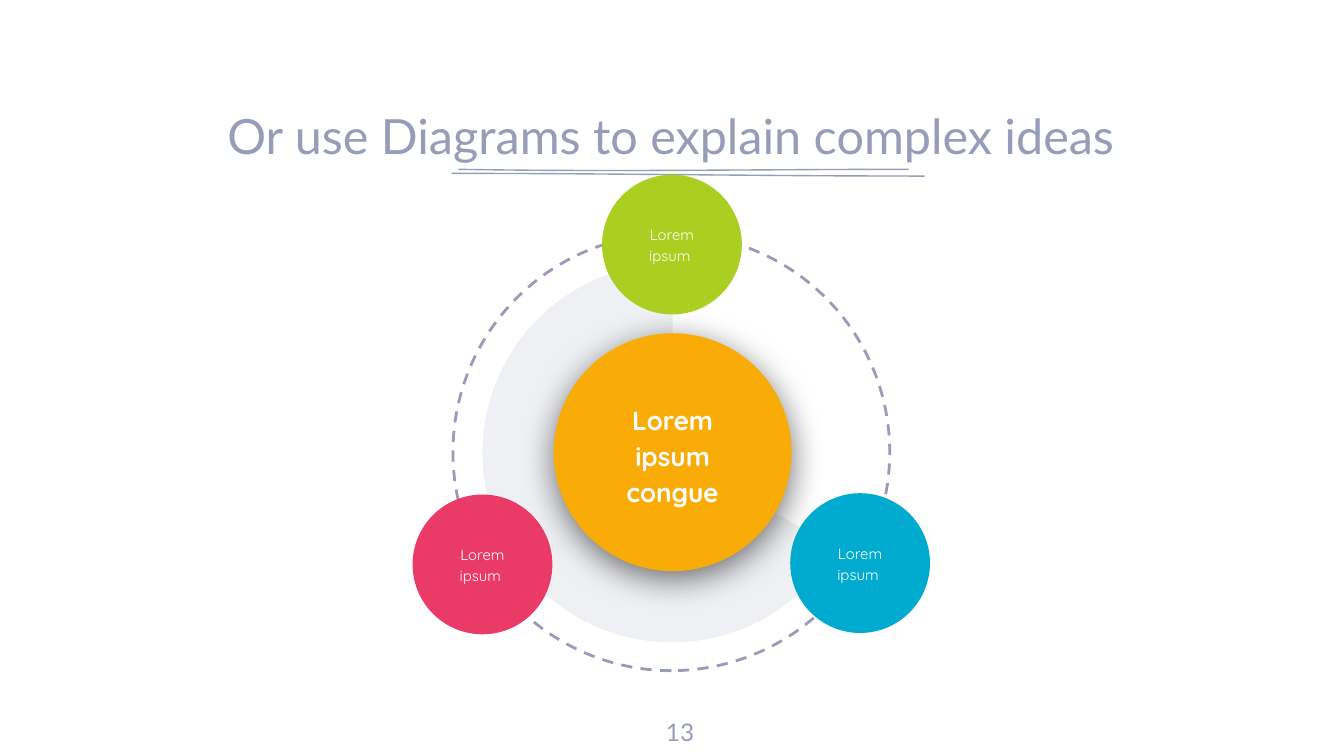
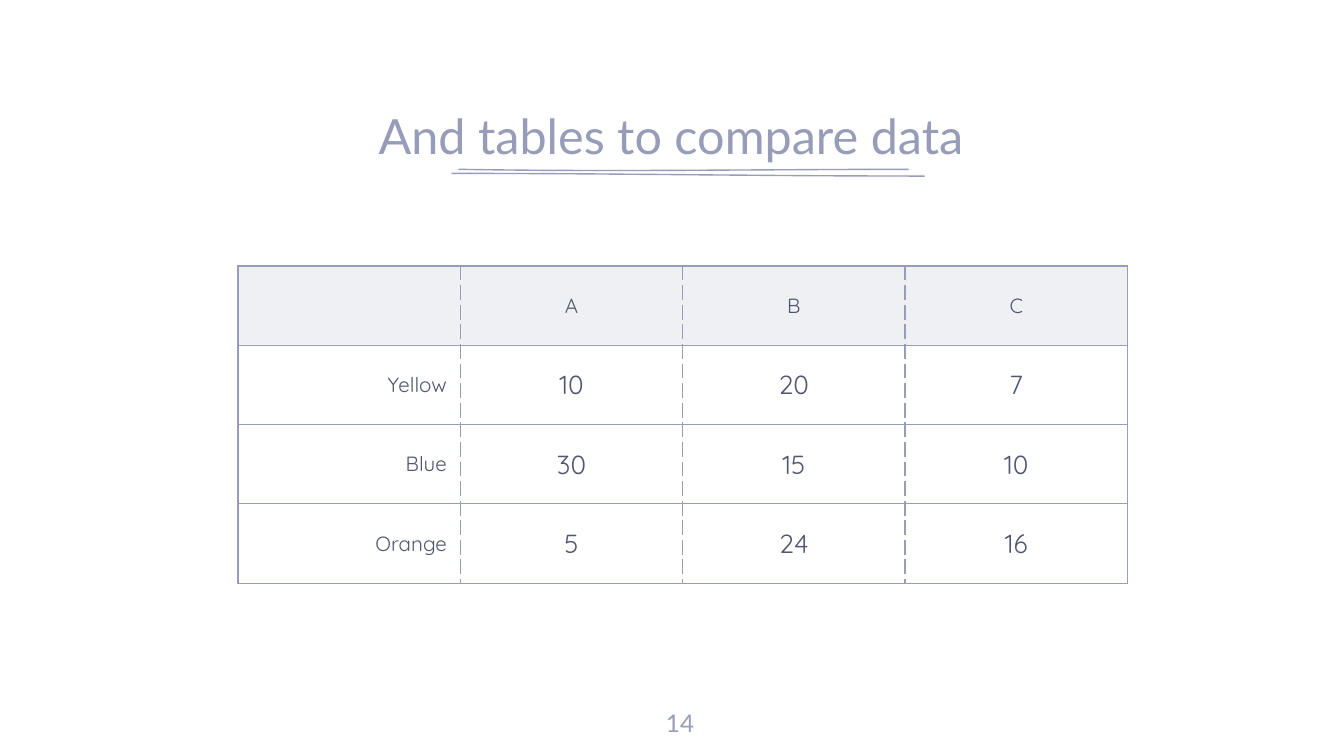
from dataclasses import dataclass

from lxml.etree import SubElement
from pptx import Presentation
from pptx.dml.color import RGBColor
from pptx.enum.dml import MSO_LINE_DASH_STYLE as Dash
from pptx.enum.shapes import MSO_SHAPE as Preset
from pptx.enum.text import MSO_ANCHOR as Anchor, MSO_AUTO_SIZE as AutoSize, PP_ALIGN as Align
from pptx.oxml.ns import qn
from pptx.util import Inches, Pt

COLORS = {
    "lavender": "979CB8",
    "ink": "505670",
    "white": "FFFFFF",
    "orange": "F9AC08",
    "green": "AACF20",
    "pink": "EA3A68",
    "blue": "01ABCF",
}
HEADING_FONT = "Lato"
BODY_FONT = "Quicksand"
RULE_WIDTH = 0.75
TINT = 15


@dataclass(frozen=True)
class Box:
    left: float
    top: float
    width: float
    height: float

    def emu(self) -> tuple:
        return tuple(Inches(n) for n in (self.left, self.top, self.width, self.height))


@dataclass(frozen=True)
class Bubble:
    left: float
    top: float
    diameter: float
    label: Box
    text: str
    color: str
    size: int
    bold: bool = False
    shadow: bool = False


@dataclass(frozen=True)
class Stroke:
    points: tuple


TITLE_BOX = Box(1.12, 0.57, 7.75, 0.75)
UNDERLINES = (
    Stroke(((3.41, 1.26), (4.53, 1.28), (5.64, 1.26), (6.76, 1.26))),
    Stroke(((3.36, 1.29), (4.53, 1.29), (5.71, 1.31), (6.88, 1.31))),
)


def satellite(left: float, top: float, color: str) -> Bubble:
    label = Box(left + 0.15, top + 0.16, 0.74, 0.71)
    return Bubble(left, top, 1.04, label, "Lorem ipsum ", color, 8)


BUBBLES = (
    Bubble(4.12, 2.48, 1.77, Box(4.35, 2.97, 1.31, 0.81), "Lorem ipsum congue",
           "orange", 14, bold=True, shadow=True),
    satellite(4.48, 1.3, "green"),
    satellite(3.07, 3.68, "pink"),
    satellite(5.88, 3.67, "blue"),
)
COMPARISON = (
    ("", "A", "B", "C"),
    ("Yellow", "10", "20", "7"),
    ("Blue", "30", "15", "10"),
    ("Orange", "5", "24", "16"),
)


def rgb(name: str) -> RGBColor:
    return RGBColor.from_string(COLORS[name])


def write(frame, text: str, *, size: float, color: str, font: str = BODY_FONT,
          bold: bool = False, align=Align.CENTER, spacing: float = 1.0) -> None:
    paragraph = frame.paragraphs[0]
    paragraph.alignment = align
    paragraph.line_spacing = spacing
    run = paragraph.add_run()
    run.text = text
    run.font.size = Pt(size)
    run.font.name = font
    run.font.bold = bold
    run.font.color.rgb = rgb(color)


def fit_frame(frame, anchor) -> None:
    frame.word_wrap = True
    frame.auto_size = AutoSize.NONE
    frame.vertical_anchor = anchor
    frame.margin_left = frame.margin_right = Inches(0.1)
    frame.margin_top = frame.margin_bottom = Inches(0.1)


def paint(fill, element, color: str, alpha: int = 100) -> None:
    fill.solid()
    fill.fore_color.rgb = rgb(color)
    if alpha < 100:
        tone = element.find(qn("a:solidFill")).find(qn("a:srgbClr"))
        SubElement(tone, qn("a:alpha"), val=str(alpha * 1000))


def add_preset(shapes, preset, box: Box, color: str = "", alpha: int = 100):
    shape = shapes.add_shape(preset, *box.emu())
    shape.shadow.inherit = False
    shape.line.fill.background()
    if color:
        paint(shape.fill, shape.element.spPr, color, alpha)
    else:
        shape.fill.background()
    return shape


def cast_shadow(shape) -> None:
    effects = shape.element.spPr.find(qn("a:effectLst"))
    shadow = SubElement(effects, qn("a:outerShdw"), blurRad=str(Pt(18)), dist=str(Pt(4)),
                        dir=str(90 * 60000), algn="bl", rotWithShape="0")
    tone = SubElement(shadow, qn("a:srgbClr"), val="000000")
    SubElement(tone, qn("a:alpha"), val="55000")


def curve_point(points: tuple, t: float) -> tuple:
    weights = ((1 - t) ** 3, 3 * t * (1 - t) ** 2, 3 * t ** 2 * (1 - t), t ** 3)
    return tuple(sum(w * p[axis] for w, p in zip(weights, points)) for axis in (0, 1))


def add_underlines(slide, layout) -> None:
    steps = 16
    for stroke in UNDERLINES:
        start, *rest = (curve_point(stroke.points, i / steps) for i in range(steps + 1))
        builder = slide.shapes.build_freeform(Inches(start[0]), Inches(start[1]))
        builder.add_line_segments([(Inches(x), Inches(y)) for x, y in rest], close=False)
        underline = builder.convert_to_shape()
        underline.shadow.inherit = False
        underline.fill.background()
        underline.line.color.rgb = rgb("lavender")
        underline.line.width = Pt(RULE_WIDTH)
        layout.shapes.element.append(underline.element)


def add_titled_slide(deck, layout, title: str):
    slide = deck.slides.add_slide(layout)
    heading = slide.shapes.title
    heading.left, heading.top, heading.width, heading.height = TITLE_BOX.emu()
    fit_frame(heading.text_frame, Anchor.BOTTOM)
    write(heading.text_frame, title, size=26, color="lavender", font=HEADING_FONT)
    return slide


def add_page_number(slide, number: int, top: float) -> None:
    page = slide.shapes.add_textbox(*Box(4.76, top, 0.6, 0.33).emu())
    fit_frame(page.text_frame, Anchor.TOP)
    write(page.text_frame, str(number), size=13, color="lavender", font=HEADING_FONT)


def add_orbit(slide) -> None:
    orbit = slide.shapes.add_group_shape()
    ring = add_preset(orbit.shapes, Preset.OVAL, Box(3.37, 1.74, 3.25, 3.25))
    ring.rotation = 270
    ring.line.color.rgb = rgb("lavender")
    ring.line.width = Pt(1.5)
    ring.line.dash_style = Dash.DASH
    sector = add_preset(orbit.shapes, Preset.PIE, Box(3.59, 1.96, 2.82, 2.82), "lavender", TINT)
    sector.adjustments[0] = 18.12
    sector.adjustments[1] = 162.15


def add_bubble(slide, bubble: Bubble) -> None:
    group = slide.shapes.add_group_shape()
    outline = Box(bubble.left, bubble.top, bubble.diameter, bubble.diameter)
    disc = add_preset(group.shapes, Preset.OVAL, outline, bubble.color)
    if bubble.shadow:
        cast_shadow(disc)
    label = add_preset(group.shapes, Preset.RECTANGLE, bubble.label, bubble.color)
    fit_frame(label.text_frame, Anchor.MIDDLE)
    write(label.text_frame, bubble.text, size=bubble.size, color="white",
          bold=bubble.bold, spacing=1.15)


def add_border(cell, side: str, dash: str) -> None:
    border = SubElement(cell._tc.get_or_add_tcPr(), qn(f"a:ln{side}"), w=str(Pt(RULE_WIDTH)))
    fill = SubElement(border, qn("a:solidFill"))
    SubElement(fill, qn("a:srgbClr"), val=COLORS["lavender"])
    SubElement(border, qn("a:prstDash"), val=dash)


def add_comparison(slide) -> None:
    columns = len(COMPARISON[0])
    last = columns - 1
    column_width, row_height = Inches(6.62) // columns, Inches(0.59)
    table = slide.shapes.add_table(
        len(COMPARISON), columns, Inches(1.77), Inches(1.98),
        column_width * columns, row_height * len(COMPARISON)).table
    table.first_row = table.horz_banding = False
    for column in table.columns:
        column.width = column_width
    for r, values in enumerate(COMPARISON):
        table.rows[r].height = row_height
        for c, value in enumerate(values):
            cell = table.cell(r, c)
            cell.vertical_anchor = Anchor.MIDDLE
            cell.margin_left = cell.margin_right = Inches(0.1)
            cell.margin_top = cell.margin_bottom = Inches(0.07)
            add_border(cell, "L", "solid" if c == 0 else "dash")
            add_border(cell, "R", "solid" if c == last else "dash")
            add_border(cell, "T", "solid")
            add_border(cell, "B", "solid")
            if r == 0:
                paint(cell.fill, cell._tc.tcPr, "lavender", TINT)
            else:
                cell.fill.background()
            if value:
                write(cell.text_frame, value, size=14 if r and c else 11, color="ink",
                      align=Align.RIGHT if c == 0 else Align.CENTER)


def main() -> None:
    deck = Presentation()
    deck.slide_width = Inches(10)
    deck.slide_height = deck.slide_width * 9 // 16
    layout = deck.slide_layouts.get_by_name("Title Only")

    diagram = add_titled_slide(deck, layout, "Or use Diagrams to explain complex ideas")
    add_underlines(diagram, layout)
    add_page_number(diagram, 13, 5.24)
    add_orbit(diagram)
    for bubble in BUBBLES:
        add_bubble(diagram, bubble)

    comparison = add_titled_slide(deck, layout, "And tables to compare data")
    add_comparison(comparison)
    add_page_number(comparison, 14, 5.17)

    deck.save("out.pptx")


if __name__ == "__main__":
    main()
